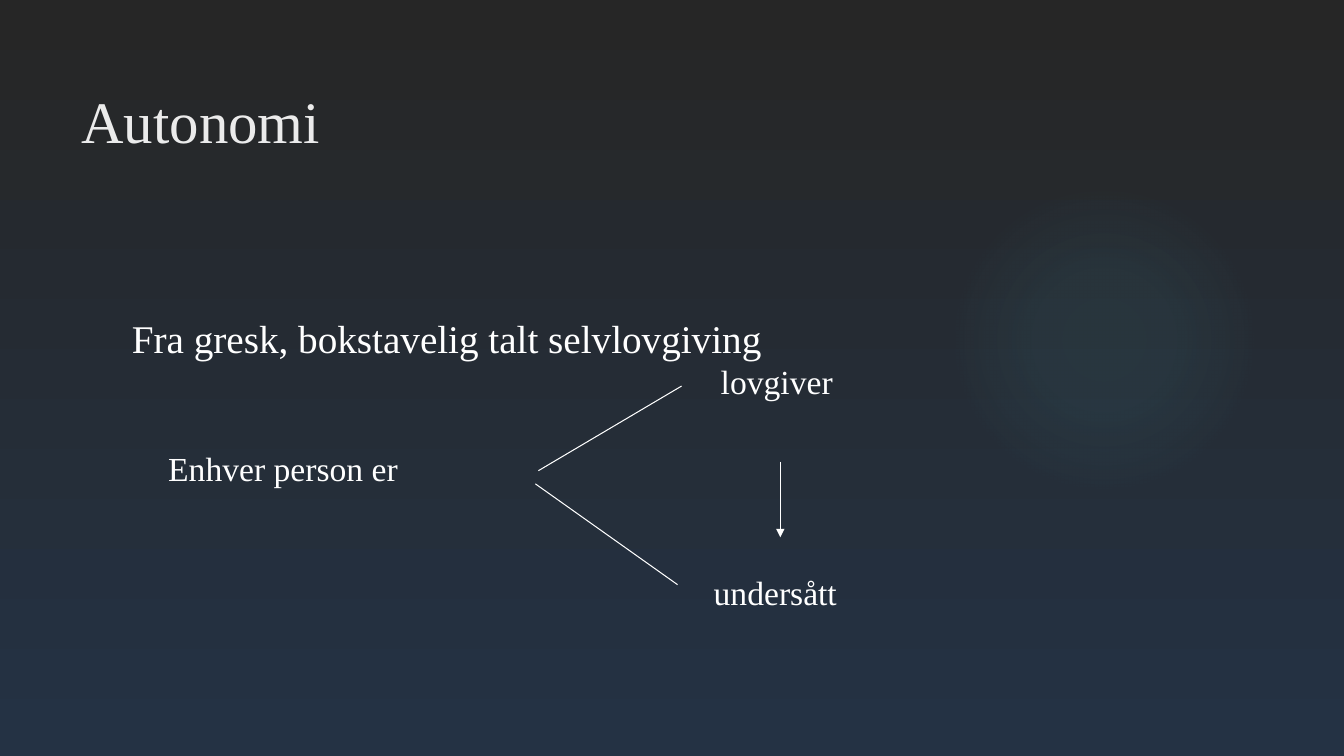
from lxml import etree
from pptx import Presentation
from pptx.dml.color import RGBColor
from pptx.enum import shapes, text
from pptx.oxml import parse_xml
from pptx.oxml.ns import nsdecls, qn
from pptx.util import Inches, Pt

COLORS = {"top": "262626", "bottom": "243244", "glow": "50B9C1",
          "title": "EBEBEB", "body": "FFFFFF"}
FONT = "Times New Roman"

# text, (left, top, width, height), size, colour, line spacing
TEXTS = [
    ("Autonomi", (0.71, 0.79, 10.29, 1.31), 42, "title", 1),
    ("Fra gresk, bokstavelig talt selvlovgiving", (1.21, 3.12, 10.17, 2.92), 28, "body", 0.9),
    ("lovgiver", (7.05, 3.53, 1.92, 0.5), 24, "body", 1),
    ("undersått", (6.98, 5.62, 2.18, 0.5), 24, "body", 1),
    ("Enhver person er", (1.57, 4.39, 4.1, 0.5), 24, "body", 1),
]
# start, end, has arrowhead
LINES = [
    ((7.74, 4.58), (7.74, 5.33), True),
    ((6.76, 3.83), (5.34, 4.67), False),
    ((5.31, 4.8), (6.72, 5.8), False),
]
GLOW_BOX = (9.41, 1.83, 3.08, 3.08)
GLOW_STOPS = [(0, 7), (36, 6), (69, 0)]  # position, opacity in percent


def rgb(name):
    return RGBColor.from_string(COLORS[name])


def inches(values):
    return [Inches(v) for v in values]


def add_background(s):
    fill = s.background.fill
    fill.gradient()
    fill.gradient_angle = 270
    for stop, name, position in zip(fill.gradient_stops, ("top", "bottom"), (0, 0.99)):
        stop.color.rgb = rgb(name)
        stop.position = position


def add_glow(s):
    sp = s.shapes.add_shape(shapes.MSO_SHAPE.OVAL, *inches(GLOW_BOX))
    sp.shadow.inherit = False
    sp.line.fill.background()
    stops = "".join(
        f'<a:gs pos="{pos * 1000}"><a:srgbClr val="{COLORS["glow"]}">'
        f'<a:alpha val="{alpha * 1000}"/></a:srgbClr></a:gs>'
        for pos, alpha in GLOW_STOPS)
    grad = parse_xml(
        f'<a:gradFill {nsdecls("a")} rotWithShape="1"><a:gsLst>{stops}</a:gsLst>'
        '<a:path path="circle"><a:fillToRect l="50000" t="50000" r="50000" b="50000"/>'
        '</a:path></a:gradFill>')
    sp.element.spPr.find(qn("a:prstGeom")).addnext(grad)


def add_text(s, words, box, size, color, spacing):
    tf = s.shapes.add_textbox(*inches(box)).text_frame
    tf.word_wrap = True
    tf.vertical_anchor = text.MSO_ANCHOR.TOP
    tf.text = words
    p = tf.paragraphs[0]
    p.line_spacing = spacing
    p.font.size = Pt(size)
    p.font.name = FONT
    p.font.color.rgb = rgb(color)


def add_line(s, start, end, arrow):
    line = s.shapes.add_connector(shapes.MSO_CONNECTOR.STRAIGHT, *inches(start + end))
    line.line.color.rgb = rgb("body")
    line.line.width = Pt(0.75)
    if arrow:
        etree.SubElement(line.line._get_or_add_ln(), qn("a:tailEnd"), type="triangle")
    etree.SubElement(line.element.spPr, qn("a:effectLst"))


def main():
    prs = Presentation()
    prs.slide_width, prs.slide_height = inches((13.33, 7.5))
    s = prs.slides.add_slide(prs.slide_layouts[6])
    add_background(s)
    add_glow(s)
    for item in TEXTS:
        add_text(s, *item)
    for item in LINES:
        add_line(s, *item)
    prs.save("out.pptx")


if __name__ == "__main__":
    main()
